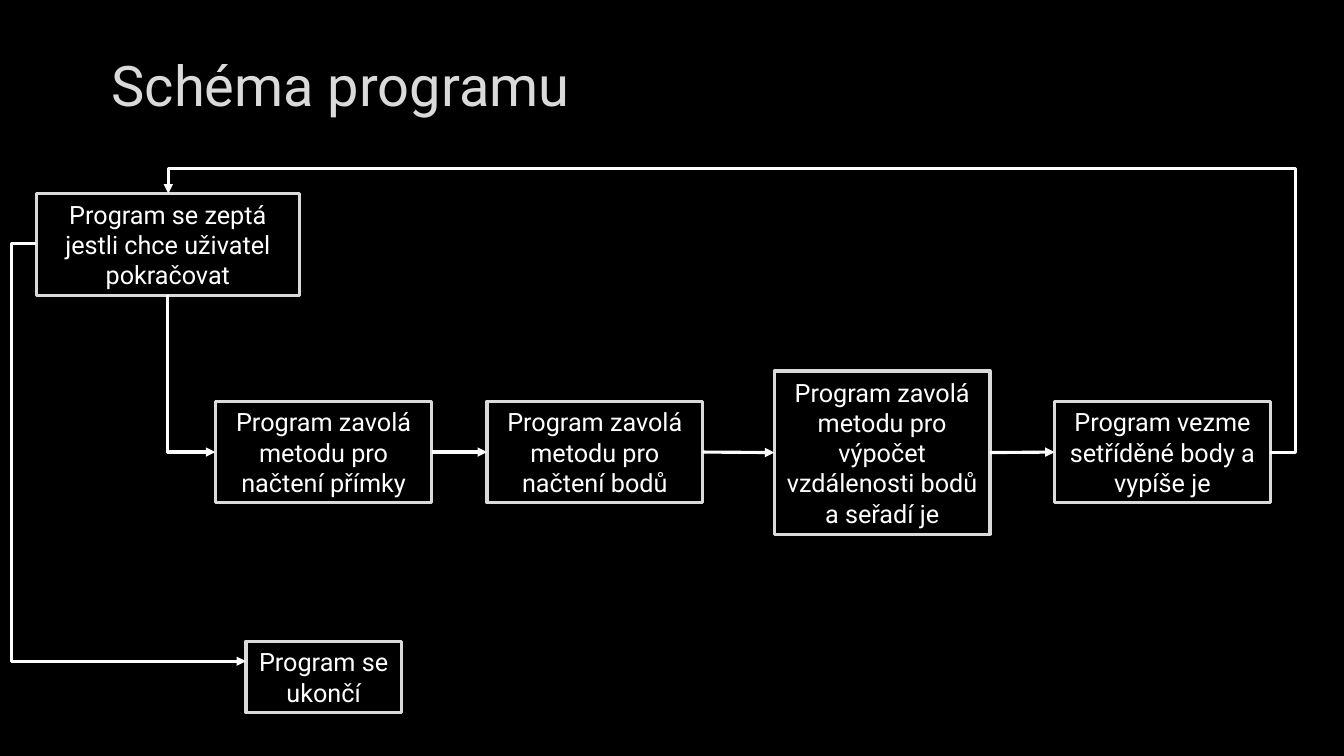
import pptx
import pptx.util
import pptx.dml.color
import pptx.enum.shapes
import pptx.enum.text
import pptx.oxml.ns
from lxml import etree
from pptx.util import Inches

THEME = {"bg": "000000", "title": "DADADA", "border": "DADADA", "text": "FFFFFF",
         "arrow": "FFFFFF", "font": "Roboto", "title_size": 40, "box_size": 18, "line": 2.25}
TOP, LEFT, BOTTOM, RIGHT = range(4)  # connection sites of a rectangle
qn = pptx.oxml.ns.qn
rgb = pptx.dml.color.RGBColor.from_string


def add_text(sp, text, size, color, align):
    tf = sp.text_frame
    tf.word_wrap = True
    tf.vertical_anchor = pptx.enum.text.MSO_ANCHOR.MIDDLE
    p = tf.paragraphs[0]
    p.alignment = align
    r = p.add_run()
    r.text = text
    r.font.name = THEME["font"]
    r.font.size = pptx.util.Pt(size)
    r.font.color.rgb = rgb(color)


prs = pptx.Presentation()
prs.slide_width, prs.slide_height = Inches(13.33), Inches(7.5)
s = prs.slides.add_slide(prs.slide_layouts[6])
s.background.fill.solid()
s.background.fill.fore_color.rgb = rgb(THEME["bg"])

# Title
sp = s.shapes.add_textbox(Inches(1.01), Inches(0.3), Inches(11.32), Inches(1.06))
add_text(sp, "Schéma programu", THEME["title_size"], THEME["title"],
         pptx.enum.text.PP_ALIGN.LEFT)

# Steps: left, top, width, height, text
steps = {
    "line": (2.14, 3.98, 2.14, 1.01, "Program zavolá metodu pro načtení přímky"),
    "ask": (0.36, 1.92, 2.61, 1.01, "Program se zeptá jestli chce uživatel pokračovat"),
    "end": (2.44, 6.36, 1.54, 0.71, "Program se ukončí"),
    "points": (4.83, 3.98, 2.14, 1.01, "Program zavolá metodu pro načtení bodů"),
    "sort": (7.68, 3.68, 2.14, 1.62,
             "Program zavolá metodu pro výpočet vzdálenosti bodů a seřadí je"),
    "print": (10.46, 3.98, 2.14, 1.01, "Program vezme setříděné body a vypíše je"),
}
boxes = {}
for name, (x, y, w, h, text) in steps.items():
    sp = s.shapes.add_shape(pptx.enum.shapes.MSO_SHAPE.RECTANGLE,
                            Inches(x), Inches(y), Inches(w), Inches(h))
    sp.shadow.inherit = False
    sp.fill.background()
    sp.line.color.rgb = rgb(THEME["border"])
    sp.line.width = pptx.util.Pt(THEME["line"])
    add_text(sp, text, THEME["box_size"], THEME["text"], pptx.enum.text.PP_ALIGN.CENTER)
    boxes[name] = sp

# Arrows: start, end, preset, rotation in degrees, bend adjustments, joined boxes
ROW = 4.49
arrows = [
    ((0.36, 2.42), (2.44, 6.56), "bentConnector3", 0, [-0.12], None),
    ((2.68, 3.47), (1.12, 3.94), "bentConnector2", 270, [], None),
    ((12.6, ROW), (1.67, 1.92), "bentConnector4", 0, [-0.023, 1.097], None),
]
row = ["line", "points", "sort", "print"]
for a, b in zip(row, row[1:]):
    arrows.append(((steps[a][0] + steps[a][2], ROW), (steps[b][0], ROW), "line", 0, [], (a, b)))

for (x1, y1), (x2, y2), preset, rotation, bends, joined in arrows:
    kind = pptx.enum.shapes.MSO_CONNECTOR
    c = s.shapes.add_connector(kind.STRAIGHT if preset == "line" else kind.ELBOW,
                               Inches(x1), Inches(y1), Inches(x2), Inches(y2))
    if joined:
        c.begin_connect(boxes[joined[0]], RIGHT)
        c.end_connect(boxes[joined[1]], LEFT)
    c.line.color.rgb = rgb(THEME["arrow"])
    c.line.width = pptx.util.Pt(THEME["line"])
    etree.SubElement(c.line._get_or_add_ln(), qn("a:tailEnd"), type="triangle")
    spPr = c._element.spPr
    etree.SubElement(spPr, qn("a:effectLst"))
    if rotation:
        spPr.find(qn("a:xfrm")).set("rot", str(rotation * 60000))
    geom = spPr.find(qn("a:prstGeom"))
    geom.set("prst", preset)
    guides = geom.find(qn("a:avLst"))
    for i, bend in enumerate(bends, 1):
        etree.SubElement(guides, qn("a:gd"), name=f"adj{i}", fmla=f"val {round(bend * 100000)}")

prs.save("out.pptx")
